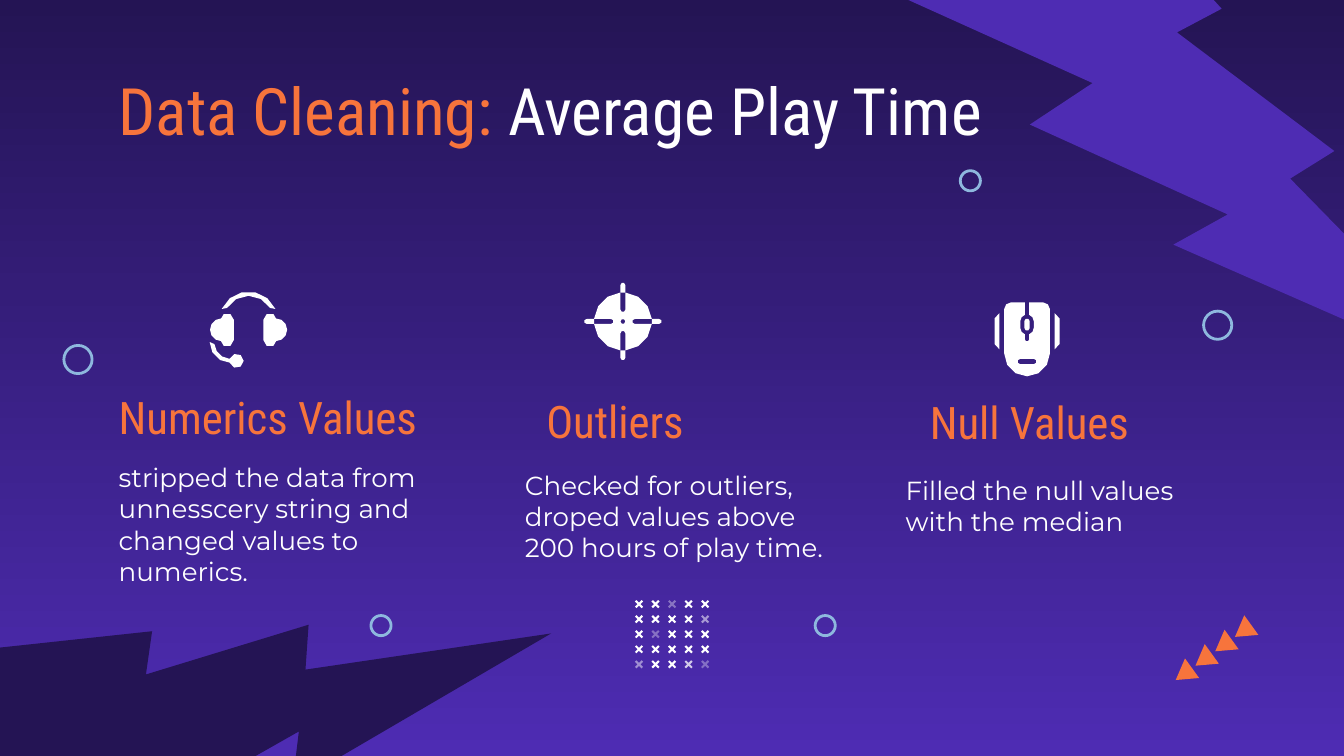
import math
import pptx
import pptx.dml.color
import pptx.enum.shapes
import pptx.enum.text
import pptx.oxml.ns
import pptx.util
from lxml import etree

RGB = pptx.dml.color.RGBColor
NIGHT = RGB(0x24, 0x14, 0x54)
VIOLET = RGB(0x4E, 0x2C, 0xB3)
ORANGE = RGB(0xF7, 0x74, 0x3C)
SKY = RGB(0x8E, 0xB8, 0xDE)
WHITE = RGB(0xFF, 0xFF, 0xFF)
HEAD = "Roboto Condensed"
BODY = "Montserrat"
KIND = pptx.enum.shapes.MSO_SHAPE
ANCHOR = pptx.enum.text.MSO_ANCHOR
qn = pptx.oxml.ns.qn

# Slide and grid: 100 square cells across the width
deck = pptx.Presentation()
deck.slide_width = pptx.util.Inches(10)
deck.slide_height = pptx.util.Inches(10 * 9 / 16)
CELL = deck.slide_width // 100
slide = deck.slides.add_slide(deck.slide_layouts[4])
shapes = slide.shapes


def write(box, text, place, size=14, font=BODY, color=WHITE,
          anchor=ANCHOR.MIDDLE, tail=""):
    """Place a box and fill it; each line of text is a paragraph."""
    box.left, box.top, box.width, box.height = [round(v * CELL) for v in place]
    frame = box.text_frame
    frame.word_wrap = True
    frame.auto_size = pptx.enum.text.MSO_AUTO_SIZE.NONE
    frame.vertical_anchor = anchor
    frame.margin_left = frame.margin_right = CELL
    frame.margin_top = frame.margin_bottom = CELL
    frame.text = text
    if tail:
        frame.paragraphs[0].add_run().text = tail
    for para in frame.paragraphs:
        props = para._p.get_or_add_pPr()
        props.set("marL", "0")
        props.set("indent", "0")
        etree.SubElement(props, qn("a:buNone"))
        para.alignment = pptx.enum.text.PP_ALIGN.LEFT
        para.space_before = pptx.util.Pt(0)
        for run in para.runs:
            run.font.size = pptx.util.Pt(size)
            run.font.name = font
            run.font.bold = False
            run.font.color.rgb = WHITE if run.text == tail else color


def trace(*rings):
    """Draw a white outline; nodes are (x, y) or arcs (x, y, r, start, end)."""
    pen = None
    for ring in rings:
        dots = []
        for x, y, *arc in ring:
            if arc:
                r, start, end = arc
                sweep = end - start
                steps = math.ceil(abs(sweep) / (30 if r > 0.6 else 60))
                turns = [math.radians(start + sweep * i / steps) for i in range(steps + 1)]
                dots += [(x + r * math.cos(t), y + r * math.sin(t)) for t in turns]
            else:
                dots.append((x, y))
        dots = [(x * CELL, y * CELL) for x, y in dots]
        if pen is None:
            pen = shapes.build_freeform(*dots[0], scale=1.0)
        else:
            pen.move_to(*dots[0])
        pen.add_line_segments(dots[1:], close=True)
    shape = pen.convert_to_shape()
    shape.shadow.inherit = False
    shape.fill.solid()
    shape.fill.fore_color.rgb = WHITE
    shape.line.fill.background()


# Background
fill = slide.background.fill
fill.gradient()
fill.gradient_angle = 270
for stop, color in zip(fill.gradient_stops, (NIGHT, VIOLET)):
    stop.color.rgb = color

# Title and three columns
title, *slots = slide.placeholders
slots += [shapes.add_textbox(0, 0, CELL, CELL) for i in range(2)]
write(title, "Data Cleaning: ", (7.83, 4.25, 84.3, 6.4), size=35, font=HEAD,
      color=ORANGE, anchor=ANCHOR.TOP, tail="Average Play Time")
cols = [
    ("Numerics Values", (7.83, 28.55, 25.6, 4.9),
     "stripped the data from unnesscery string and changed values to numerics.",
     (7.83, 34.25)),
    ("Outliers", (39.65, 28.55, 24.2, 5.5),
     "Checked for outliers,\ndroped values above 200 hours of play time.",
     (38.05, 33.65)),
    ("Null Values", (68.2, 28.4, 21.3, 6),
     "Filled the null values with the median", (66.4, 32.85)),
]
for i, (head, place, body, spot) in enumerate(cols):
    write(slots[2 * i], head, place, size=24, font=HEAD, color=ORANGE)
    write(slots[2 * i + 1], body, (*spot, 26.1, 9.5))

# Headset: band, two cups, boom with microphone
mid = 18.5
trace([(mid, 23.88, 2.19, -156, -24), (mid, 23.88, 1.87, -31, -149)])
for s in (-1, 1):
    trace([(mid + 1.6 * s, 23.8, 0.5, -90 - 90 * s, -90 + 90 * s),
           (mid + 2.02 * s, 24.54, 0.85, -90, -90 + 180 * s),
           (mid + 1.6 * s, 25.3, 0.5, -90 + 90 * s, -90 + 270 * s)])
trace([(17.15, 25.45, 1.55, 180, 90), (17.6, 26.85, 0.53, 163, -163),
       (17.15, 25.5, 1.2, 95, 175)])

# Mouse: side grips, body with slot and pill hole, wheel
mid = 76.42
for s in (-1, 1):
    trace([(mid + 2.05 * s, 23.3), (mid + 2.42 * s, 23.7),
           (mid + 2.42 * s, 25.6), (mid + 2.05 * s, 26)])
trace([(mid - 1.2, 23, 0.5, 180, 270), (mid - 0.16, 22.5),
       (mid, 23.9, 0.5, -109, -180), (mid, 24.4, 0.5, 180, 109),
       (mid, 25.25, 0.16, 180, 0), (mid, 24.4, 0.5, 71, 0),
       (mid, 23.9, 0.5, 0, -71), (mid + 0.16, 22.5),
       (mid + 1.2, 23, 0.5, -90, 0), (mid, 26.3, 1.7, 0, 180)],
      [(mid - 0.5, 26.9, 0.2, 90, 270), (mid + 0.5, 26.9, 0.2, -90, 90)])
trace([(mid, 23.9, 0.2, 180, 360), (mid, 24.4, 0.2, 0, 180)])

# Target: disc cut by four slots, with a bar beyond each
x, y, r = 46.35, 23.92, 2.16
disc, bars = [], []
for turn in (0, 90, 180, 270):
    cos, sin = math.cos(math.radians(turn)), math.sin(math.radians(turn))
    disc += [(x + 0.88 * cos, y + 0.88 * sin, 0.18, turn - 90, turn - 270),
             (x, y, r, turn + 5, turn + 85)]
    bars.append([(x, y, r, turn - 5, turn + 5),
                 (x + 2.71 * cos, y + 2.71 * sin, 0.18, turn + 90, turn - 90)])
trace(disc, [(x, y, 0.18, 0, 300)])
for bar in bars:
    trace(bar)

# Preset shapes: kind, left, top, width, height, turn, colour, opacity
marks = [
    (KIND.LIGHTNING_BOLT, 67.1, -10.7, 41.7, 41.7, 353.7, VIOLET, 100),
    (KIND.LIGHTNING_BOLT, -1.55, 35.85, 36, 36, 299.7, NIGHT, 100),
]
for i in range(4):
    marks.append((KIND.ISOSCELES_TRIANGLE, 91.6 - 1.47 * i, 46.2 + 1.07 * i,
                  1.8, 1.5, 234.2, ORANGE, 100))
for x, y, d in [(27.6, 45.8, 1.5), (89.55, 23.15, 2.1), (4.75, 25.7, 2.1),
                (60.65, 45.8, 1.5), (71.45, 12.7, 1.5)]:
    marks.append((KIND.OVAL, x, y, d, d, 0, SKY, 100))
faint = {(0, 2): 36, (1, 4): 53, (2, 1): 34, (4, 0): 48, (4, 3): 75, (4, 4): 33}
for row in range(5):
    for col in range(5):
        marks.append((KIND.CROSS, 47.2 + 1.23 * col, 44.6 + 1.12 * row, 0.7, 0.7,
                      315, WHITE, faint.get((row, col), 100)))

for kind, x, y, w, h, turn, color, alpha in marks:
    mark = shapes.add_shape(kind, *[round(v * CELL) for v in (x, y, w, h)])
    mark.shadow.inherit = False
    mark.rotation = turn
    if kind == KIND.OVAL:
        mark.fill.background()
        mark.line.color.rgb = color
        mark.line.width = pptx.util.Pt(1.5)
        continue
    mark.fill.solid()
    mark.fill.fore_color.rgb = color
    mark.line.fill.background()
    if kind == KIND.CROSS:
        mark.adjustments[0] = 0.39
    if kind == KIND.LIGHTNING_BOLT:  # behind the text
        title._element.addprevious(mark._element)
    if alpha < 100:
        tint = mark._element.spPr.find(qn("a:solidFill"))[0]
        etree.SubElement(tint, qn("a:alpha")).set("val", str(alpha * 1000))

deck.save("out.pptx")
